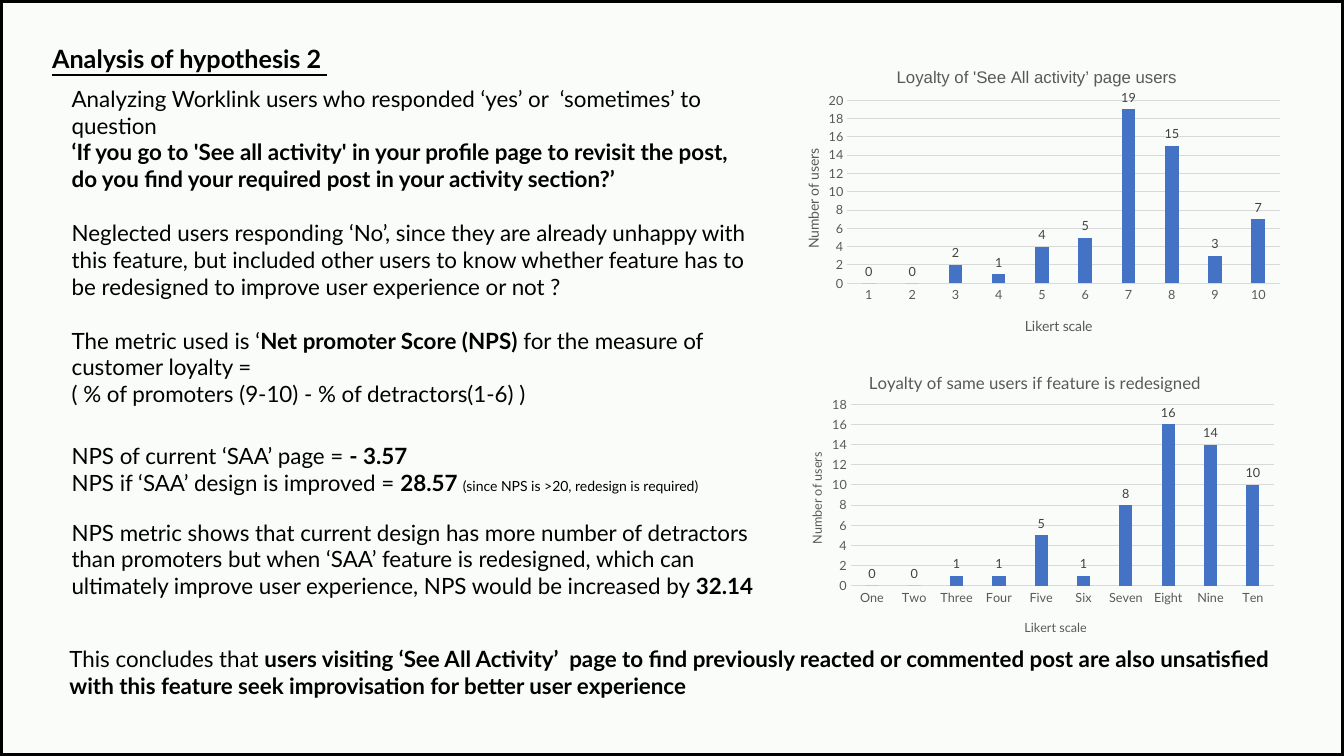
from dataclasses import dataclass

from lxml import etree
from pptx import Presentation
from pptx import util as u
from pptx.chart import data as chart_data
from pptx.dml import color
from pptx.enum import chart as charts, shapes, text
from pptx.oxml.ns import qn

Pt = u.Pt


@dataclass(frozen=True)
class Theme:
    """Colours, fonts and type sizes of the slide."""
    font: str = "Lato"
    ink: str = "000000"
    paper: str = "FAFCFA"
    bar: str = "4472C4"
    grid: str = "D9D9D9"
    axis: str = "595959"
    label: str = "404040"
    title: int = 18
    body: int = 16
    chart_title: int = 12
    axis_title: int = 10
    note: int = 10
    tick: int = 9
    line: float = 0.75
    border: float = 4.5


T = Theme()
BLANK_LINE = 19.2
# Fractions of the chart area, shared by both charts.
PLOT_AT = (0.14, 0.18, 0.84, 0.6)
VALUE_TITLE_AT = (0.05, 0.33)
SCALE_TITLE_AT = (0.48, 0.88)


def rgb(value):
    """Turn a hex string into a colour."""
    return color.RGBColor.from_string(value)


def style(font, size=T.body, ink=T.ink, bold=False, underline=False, name=T.font):
    """Format any font object."""
    font.name, font.size = name, Pt(size)
    font.bold, font.underline = bold, underline
    font.color.rgb = rgb(ink)


def put(sp, at, box):
    """Move a shape to a box given in points."""
    sp.left, sp.top, sp.width, sp.height = (Pt(v) for v in box)
    return at(sp) if at else sp


def write(sp, paragraphs, **fmt):
    """Fill a shape; a paragraph is (space before, [(text, format), ...])."""
    tf = sp.text_frame
    tf.word_wrap = True
    tf.auto_size = text.MSO_AUTO_SIZE.NONE
    tf.vertical_anchor = text.MSO_ANCHOR.TOP
    for i, (before, runs) in enumerate(paragraphs):
        p = tf.add_paragraph() if i else tf.paragraphs[0]
        p.alignment = text.PP_ALIGN.LEFT
        p.space_before = Pt(before)
        pPr = p._p.get_or_add_pPr()
        pPr.set("marL", "0")
        pPr.set("indent", "0")
        etree.SubElement(pPr, qn("a:buNone"))
        for words, own in runs:
            r = p.add_run()
            r.text = words
            style(r.font, **{**fmt, **own})


def add_text(slide, box, paragraphs):
    """Add a text box."""
    write(slide.shapes.add_textbox(*(Pt(v) for v in box)), paragraphs)


def add_border(prs, slide):
    """Frame the whole slide."""
    sp = slide.shapes.add_shape(shapes.MSO_SHAPE.RECTANGLE, 0, 0,
                                prs.slide_width, prs.slide_height)
    sp.shadow.inherit = False
    sp.fill.background()
    sp.line.color.rgb = rgb(T.ink)
    sp.line.width = Pt(T.border)


def set_layout(el, at):
    """Place a chart part by fractions: x, y and optionally w, h."""
    for old in el.findall(qn("c:layout")):
        el.remove(old)
    layout = etree.Element(qn("c:layout"))
    manual = etree.SubElement(layout, qn("c:manualLayout"))
    settings = [("xMode", "edge"), ("yMode", "edge"), *zip("xywh", at)]
    if len(at) == 4:
        settings.insert(0, ("layoutTarget", "inner"))
    for tag, value in settings:
        etree.SubElement(manual, qn("c:" + tag)).set("val", str(value))
    el.insert(0 if el.find(qn("c:tx")) is None else 1, layout)


def set_title(title, words, at, **fmt):
    """Write and place a chart or axis title."""
    p = title.text_frame.paragraphs[0]
    r = p.add_run()
    r.text = words
    style(r.font, ink=T.axis, **fmt)
    set_layout(title._element, at)


def style_axis(axis, words, at, size):
    """Give an axis its title and tick labels."""
    axis.major_tick_mark = axis.minor_tick_mark = charts.XL_TICK_MARK.NONE
    style(axis.tick_labels.font, T.tick, T.axis)
    set_title(axis.axis_title, words, at, size=size)


def style_line(line):
    """Draw a thin grey chart line."""
    line.color.rgb = rgb(T.grid)
    line.width = Pt(T.line)


def add_loyalty_chart(slide, box, title, title_at, scale, users, top,
                      title_font=T.font, axis_size=T.axis_title):
    """Add a column chart of users per Likert score."""
    data = chart_data.CategoryChartData()
    data.categories = scale
    data.add_series("Series 1", users)
    chart = slide.shapes.add_chart(charts.XL_CHART_TYPE.COLUMN_CLUSTERED,
                                   *(Pt(v) for v in box), data).chart
    chart.has_legend = False
    set_title(chart.chart_title, title, title_at, size=T.chart_title, name=title_font)
    set_layout(chart._chartSpace.chart.plotArea, PLOT_AT)

    cat, val = chart.category_axis, chart.value_axis
    style_axis(cat, "Likert scale", SCALE_TITLE_AT, axis_size)
    style_line(cat.format.line)
    style_axis(val, "Number of users", VALUE_TITLE_AT, axis_size)
    val.axis_title.text_frame._txBody.bodyPr.set("rot", "-5400000")
    val.format.line.fill.background()
    style_line(val.major_gridlines.format.line)
    val.minimum_scale, val.maximum_scale, val.major_unit = 0, top, 2

    plot = chart.plots[0]
    plot.gap_width, plot.overlap, plot.vary_by_categories = 219, -27, False
    fill = plot.series[0].format.fill
    fill.solid()
    fill.fore_color.rgb = rgb(T.bar)
    plot.has_data_labels = True
    labels = plot.data_labels
    labels.show_value = True
    labels.position = charts.XL_LABEL_POSITION.OUTSIDE_END
    style(labels.font, T.tick, T.label)


def main():
    """Build the slide."""
    prs = Presentation()
    prs.slide_width, prs.slide_height = Pt(960), Pt(540)
    slide = prs.slides.add_slide(prs.slide_layouts[1])
    slide.background.fill.solid()
    slide.background.fill.fore_color.rgb = rgb(T.paper)
    add_border(prs, slide)

    plain, bold = {}, {"bold": True}
    title, body = slide.placeholders
    put(title, None, (30, 27.4, 235, 29))
    write(title, [(0, [("Analysis of hypothesis 2 ", plain)])],
          size=T.title, bold=True, underline=True)
    put(body, None, (44, 57, 505, 240))
    write(body, [
        (0, [("Analyzing Worklink users who responded ‘yes’ or  ‘sometimes’ to question", plain)]),
        (0, [("‘If you go to 'See all activity' in your profile page to revisit the post, "
              "do you find your required post in your activity section?’", bold)]),
        (BLANK_LINE, [("Neglected users responding ‘No’, since they are already unhappy with "
                       "this feature, but included other users to know whether feature has to "
                       "be redesigned to improve user experience or not ?", plain)]),
        (BLANK_LINE, [("The metric used is ‘", plain), ("Net promoter Score (NPS)", bold),
                      (" for the measure of customer loyalty =", plain)]),
        (0, [("( % of promoters (9-10) - % of detractors(1-6) )", plain)]),
    ])
    add_text(slide, (44, 312, 505, 46), [
        (0, [("NPS of current ‘SAA’ page = ", plain), ("- 3.57", bold)]),
        (0, [("NPS if ‘SAA’ design is improved = ", plain), ("28.57 ", bold),
             ("(since NPS is >20, redesign is required)", {"size": T.note})]),
    ])
    add_text(slide, (44, 367, 505, 66), [
        (0, [("NPS metric shows that current design has more number of detractors than "
              "promoters but when ‘SAA’ feature is redesigned, which can ultimately improve "
              "user experience, NPS would be increased by ", plain), ("32.14", bold)]),
    ])
    add_text(slide, (42.5, 457, 874, 46), [
        (0, [("This concludes that ", plain),
             ("users visiting ‘See All Activity’  page to find previously reacted or commented "
              "post are also unsatisfied with this feature seek improvisation for better user "
              "experience", bold)]),
    ])

    add_loyalty_chart(slide, (553.7, 32.4, 368, 218), "Loyalty of 'See All activity’ page users",
                      (0.23, 0.06), [str(n) for n in range(1, 11)],
                      (0, 0, 2, 1, 4, 5, 19, 15, 3, 7), top=20, title_font="Arial")
    add_loyalty_chart(slide, (557.3, 250, 360, 216),
                      "Loyalty of same users if feature is redesigned", (0.17, 0.06),
                      "One Two Three Four Five Six Seven Eight Nine Ten".split(),
                      (0, 0, 1, 1, 5, 1, 8, 16, 14, 10), top=18, axis_size=T.tick)
    prs.save("out.pptx")


if __name__ == "__main__":
    main()
